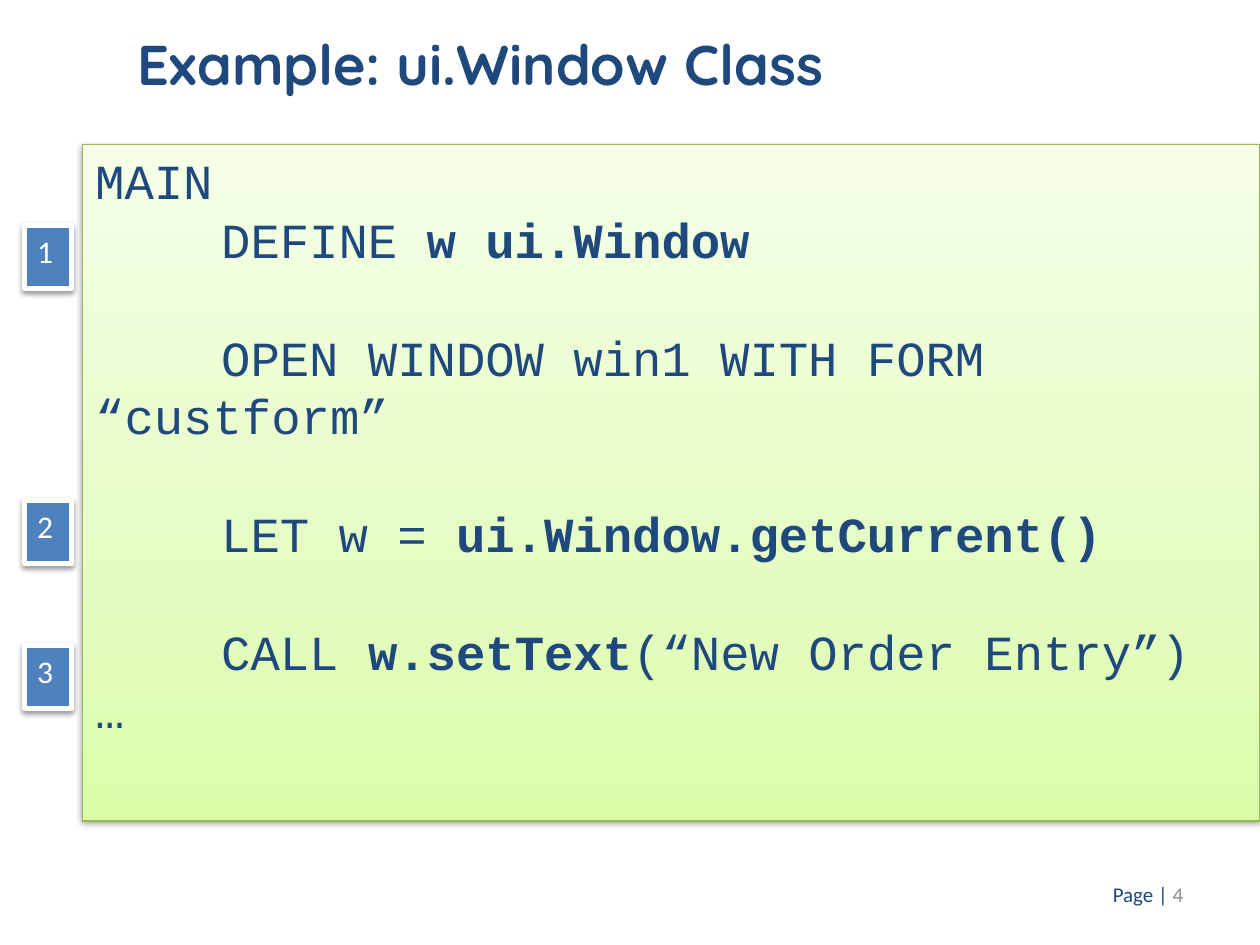
from copy import deepcopy
from dataclasses import dataclass

from lxml import etree
from pptx import Presentation
from pptx import util as u
from pptx.dml.color import RGBColor
from pptx.enum import shapes, text
from pptx.oxml.ns import qn


@dataclass(frozen=True)
class Theme:
    ink: str = "1F497D"
    muted: str = "8C8C8C"
    white: str = "FFFFFF"
    badge: str = "4F81BD"
    code_edge: str = "98B955"
    code_stops: tuple = ((0, "DAFDA7"), (0.35, "E4FCC2"), (1, "F5FFE7"))
    body_font: str = "Calibri"
    code_font: str = "Courier New"
    title_font: str = "Quicksand"
    title_size: float = 32
    code_size: float = 28
    code_pitch: float = 33.6
    code_tab: float = 72
    badge_size: float = 18
    footer_size: float = 12


class SlideWriter:
    def __init__(self, slide, theme):
        self.slide = slide
        self.theme = theme

    def style(self, run, font, size, color, bold=False):
        run.font.name = font
        run.font.size = u.Pt(size)
        run.font.color.rgb = RGBColor.from_string(color)
        run.font.bold = bold

    def textbox(self, left, top, width, height):
        box = self.slide.shapes.add_textbox(*map(u.Pt, (left, top, width, height)))
        box.text_frame.word_wrap = True
        return box.text_frame

    def panel(self, left, top, width, height, edge, edge_width):
        """Rectangle with an outline and a soft shadow below it."""
        panel = self.slide.shapes.add_shape(
            shapes.MSO_SHAPE.RECTANGLE, *map(u.Pt, (left, top, width, height)))
        panel.line.color.rgb = RGBColor.from_string(edge)
        panel.line.width = u.Pt(edge_width)
        panel.shadow.inherit = False
        effects = panel._element.spPr.find(qn("a:effectLst"))
        shadow = etree.SubElement(
            effects, qn("a:outerShdw"), blurRad=str(u.Pt(3.1)),
            dist=str(u.Pt(1.6)), dir="5400000", rotWithShape="0")
        color = etree.SubElement(shadow, qn("a:srgbClr"), val="000000")
        etree.SubElement(color, qn("a:alpha"), val="38000")
        panel.text_frame.vertical_anchor = text.MSO_ANCHOR.TOP
        return panel

    def title(self, words, *place):
        heading = self.textbox(*place)
        heading.text = words
        t = self.theme
        self.style(heading.paragraphs[0].runs[0], t.title_font, t.title_size, t.ink, True)

    def code(self, lines, *place):
        t = self.theme
        listing = self.panel(*place, t.code_edge, 0.75)

        # Gradient rising from the bottom edge
        listing.fill.gradient()
        listing.fill.gradient_angle = 90
        stop_list = listing._element.spPr.find(qn("a:gradFill")).find(qn("a:gsLst"))
        stop_list.insert(1, deepcopy(stop_list[0]))
        for stop, (position, color) in zip(listing.fill.gradient_stops, t.code_stops):
            stop.position = position
            stop.color.rgb = RGBColor.from_string(color)

        # Each line is a sequence of (words, bold) pieces
        frame = listing.text_frame
        frame.word_wrap = True
        for number, pieces in enumerate(lines):
            line = frame.add_paragraph() if number else frame.paragraphs[0]
            line.alignment = text.PP_ALIGN.LEFT
            line.line_spacing = u.Pt(t.code_pitch)
            tabs = etree.SubElement(line._p.get_or_add_pPr(), qn("a:tabLst"))
            etree.SubElement(tabs, qn("a:tab"), pos=str(u.Pt(t.code_tab)), algn="l")
            for words, bold in pieces:
                run = line.add_run()
                run.text = words
                self.style(run, t.code_font, t.code_size, t.ink, bold)
        frame.paragraphs[0].space_before = u.Pt(4)

    def badge(self, label, *place):
        t = self.theme
        marker = self.panel(*place, t.white, 3)
        marker.fill.solid()
        marker.fill.fore_color.rgb = RGBColor.from_string(t.badge)
        marker.text_frame.word_wrap = False
        marker.text_frame.text = label
        step = marker.text_frame.paragraphs[0]
        step.alignment = text.PP_ALIGN.LEFT
        self.style(step.runs[0], t.body_font, t.badge_size, t.white)

    def footer(self, prefix, page, *place):
        t = self.theme
        frame = self.textbox(*place)
        frame.vertical_anchor = text.MSO_ANCHOR.MIDDLE
        line = frame.paragraphs[0]
        line.alignment = text.PP_ALIGN.RIGHT
        for words, color in ((prefix, t.ink), (page, t.muted)):
            run = line.add_run()
            run.text = words
            self.style(run, t.body_font, t.footer_size, color)


CODE = [
    [("MAIN", False)],
    [("\tDEFINE ", False), ("w ui.Window", True)],
    [],
    [("\tOPEN WINDOW win1 WITH FORM “custform”", False)],
    [],
    [("\tLET w = ", False), ("ui.Window.getCurrent()", True)],
    [],
    [("\tCALL ", False), ("w.setText", True), ("(“New Order Entry”)", False)],
    [("…", False)],
]
BADGE_TOPS = (129, 286.2, 368.8)


def main():
    deck = Presentation()
    deck.slide_width, deck.slide_height = u.Pt(720), u.Pt(540)
    writer = SlideWriter(deck.slides.add_slide(deck.slide_layouts[6]), Theme())

    # Page number
    writer.footer("Page | ", "4", 515.2, 496.5, 168, 29)

    # Code listing and the numbered steps beside it
    writer.code(CODE, 47.3, 82.7, 672.7, 386.5)
    for step, top in enumerate(BADGE_TOPS, start=1):
        writer.badge(str(step), 14.2, top, 26.6, 36)

    # Title
    writer.title("Example: ui.Window Class", 71.7, 13.3, 498, 65)

    deck.save("out.pptx")


if __name__ == "__main__":
    main()
